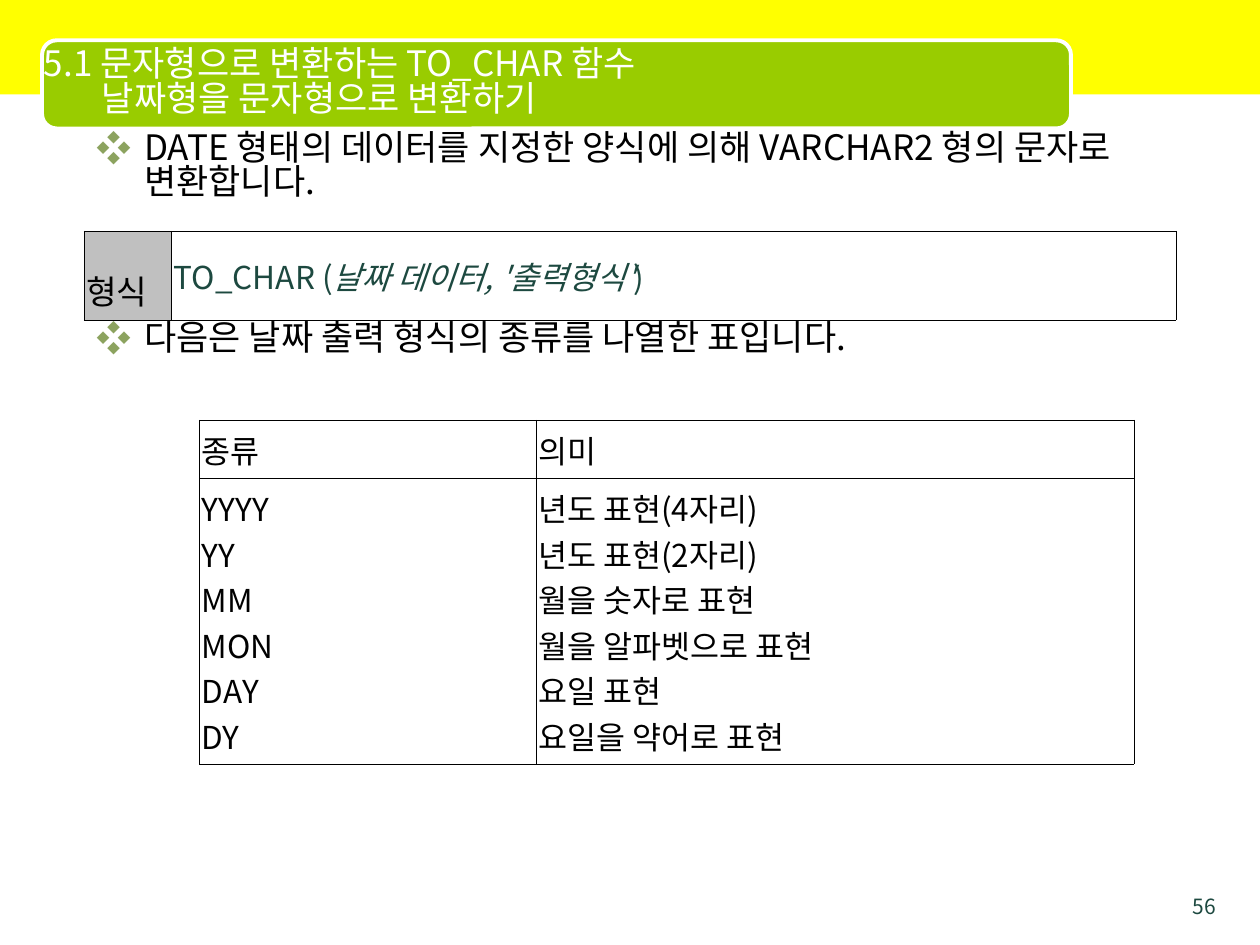
from lxml.etree import SubElement as Sub
from pptx import Presentation
from pptx.dml.color import RGBColor as Rgb
from pptx.enum.shapes import MSO_SHAPE as Geo
from pptx.enum.text import MSO_ANCHOR as Anchor, PP_ALIGN as Align
from pptx.oxml.ns import qn
from pptx.util import Inches, Pt

COLS, ROWS = 120, 90
WIDE, HIGH = Inches(10), Inches(7.5)
FONT = "Noto Sans CJK KR"
GREEN, BLACK, WHITE = "1D4940", "000000", "FFFFFF"

TITLE = ["5.1 문자형으로 변환하는 TO_CHAR 함수", "날짜형을 문자형으로 변환하기"]
POINTS = ["DATE 형태의 데이터를 지정한 양식에 의해 VARCHAR2 형의 문자로 변환합니다.",
          "다음은 날짜 출력 형식의 종류를 나열한 표입니다."]
CODES = ["YYYY", "YY", "MM", "MON", "DAY", "DY"]
SENSES = ["년도 표현(4자리)", "년도 표현(2자리)", "월을 숫자로 표현",
          "월을 알파벳으로 표현", "요일 표현", "요일을 약어로 표현"]


def grid(x, y, w, h):
    """Turn columns and rows of the slide grid into lengths."""
    return [round(v * u) for v, u in zip((x, y, w, h), (WIDE / COLS, HIGH / ROWS) * 2)]


def tint(part, code):
    """Give a fill a solid colour."""
    part.solid()
    part.fore_color.rgb = Rgb.from_string(code)


def put(item, form):
    """Set attributes from a dict of format values."""
    for key, val in form.items():
        setattr(item, key, val)


def write(frame, lines, size, code, **form):
    """Fill a frame; each line is a string or a list of (text, italic)."""
    for i, line in enumerate(lines):
        para = frame.paragraphs[0] if i == 0 else frame.add_paragraph()
        put(para, form)
        for text, slant in [(line, False)] if isinstance(line, str) else line:
            run = para.add_run()
            run.text = text
            put(run.font, {"size": Pt(size), "name": FONT, "italic": slant})
            tint(run.font.fill, code)
            Sub(run.font._element, qn("a:ea"), typeface=FONT)
    return frame.paragraphs


def block(slide, kind, box, code, edge=None):
    """Draw a flat filled shape."""
    shape = slide.shapes.add_shape(kind, *grid(*box))
    shape.shadow.inherit = False
    tint(shape.fill, code)
    if edge:
        tint(shape.line.fill, edge)
        shape.line.width = Pt(2.25)
    else:
        shape.line.fill.background()


def label(slide, box, **form):
    """Add a wrapping text box and return its frame."""
    frame = slide.shapes.add_textbox(*grid(*box)).text_frame
    put(frame, {"word_wrap": True, **form})
    return frame


def header(slide, box):
    """Draw the top band, the rounded bar and the two-line title."""
    x, y, w, h = box
    block(slide, Geo.RECTANGLE, box, "FFFF00")
    block(slide, Geo.ROUNDED_RECTANGLE, (x + 4, y + 3.84, w - 22, 8.4), "99CC00", WHITE)
    frame = label(slide, (x + 3, y + 4.2, w - 17, 7.44), vertical_anchor=Anchor.MIDDLE)
    paras = write(frame, TITLE, 20, WHITE, line_spacing=0.83)
    paras[1]._p.get_or_add_pPr().set("marL", str(Inches(0.46)))


def points(slide, box):
    """Write the bulleted statements, spaced to leave room for a table."""
    paras = write(label(slide, box), POINTS, 20, BLACK, line_spacing=0.83)
    paras[1].space_before = Pt(69)
    for para in paras:
        props = para._p.get_or_add_pPr()
        props.set("marL", str(Inches(0.38)))
        props.set("indent", str(Inches(-0.38)))
        Sub(Sub(props, qn("a:buClr")), qn("a:srgbClr"), val="8CA35F")
        Sub(props, qn("a:buFont"), typeface=FONT)
        Sub(props, qn("a:buChar"), char="❖")


def edges(cell):
    """Put a hairline on all four sides of a cell."""
    props = cell._tc.get_or_add_tcPr()
    for i, side in enumerate(("lnL", "lnR", "lnT", "lnB")):
        line = props.makeelement(qn("a:" + side), {"w": str(Pt(0.11))})
        props.insert(i, line)
        Sub(Sub(line, qn("a:solidFill")), qn("a:srgbClr"), val=BLACK)


def table(slide, box, wide, high):
    """Add a plain ruled table with the given column and row shares."""
    x, y, w, h = grid(*box)
    made = slide.shapes.add_table(len(high), len(wide), x, y, w, h).table
    put(made, {"first_row": False, "horz_banding": False})
    for col, share in zip(made.columns, wide):
        col.width = round(w * share)
    for row, share in zip(made.rows, high):
        row.height = round(h * share)
    for cell in made.iter_cells():
        put(cell, {"vertical_anchor": Anchor.MIDDLE,
                   "margin_left": Inches(0.02), "margin_right": Inches(0.02)})
        tint(cell.fill, WHITE)
        edges(cell)
    return made


def syntax(slide, box):
    """Show the call format beside its grey heading."""
    head, call = table(slide, box, (0.08, 0.92), (1,)).iter_cells()
    tint(head.fill, "C0C0C0")
    write(head.text_frame, ["형식"], 19, BLACK, line_spacing=1.6, alignment=Align.JUSTIFY)
    parts = [("TO_CHAR (", False), ("날짜 데이터, '출력형식'", True), (")", False)]
    write(call.text_frame, [parts], 18, GREEN)


def kinds(slide, box):
    """List the date formats and their meanings."""
    made = table(slide, box, (0.36, 0.64), (0.17, 0.83))
    for cell, lines in zip(made.iter_cells(), (["종류"], ["의미"], CODES, SENSES)):
        write(cell.text_frame, lines, 18, BLACK, alignment=Align.JUSTIFY)


def main():
    """Build and save the slide."""
    deck = Presentation()
    put(deck, {"slide_width": WIDE, "slide_height": HIGH})
    slide = deck.slides.add_slide(deck.slide_layouts[6])
    tint(slide.background.fill, WHITE)
    header(slide, (0, 0, COLS, 9))
    write(label(slide, (111, 84.5, 6, 2.5)), ["56"], 12, GREEN, alignment=Align.RIGHT)
    points(slide, (8, 12, 109, 73.7))
    syntax(slide, (8, 22, 104, 8.5))
    kinds(slide, (19, 40, 89, 32.8))
    deck.save("out.pptx")


main()
